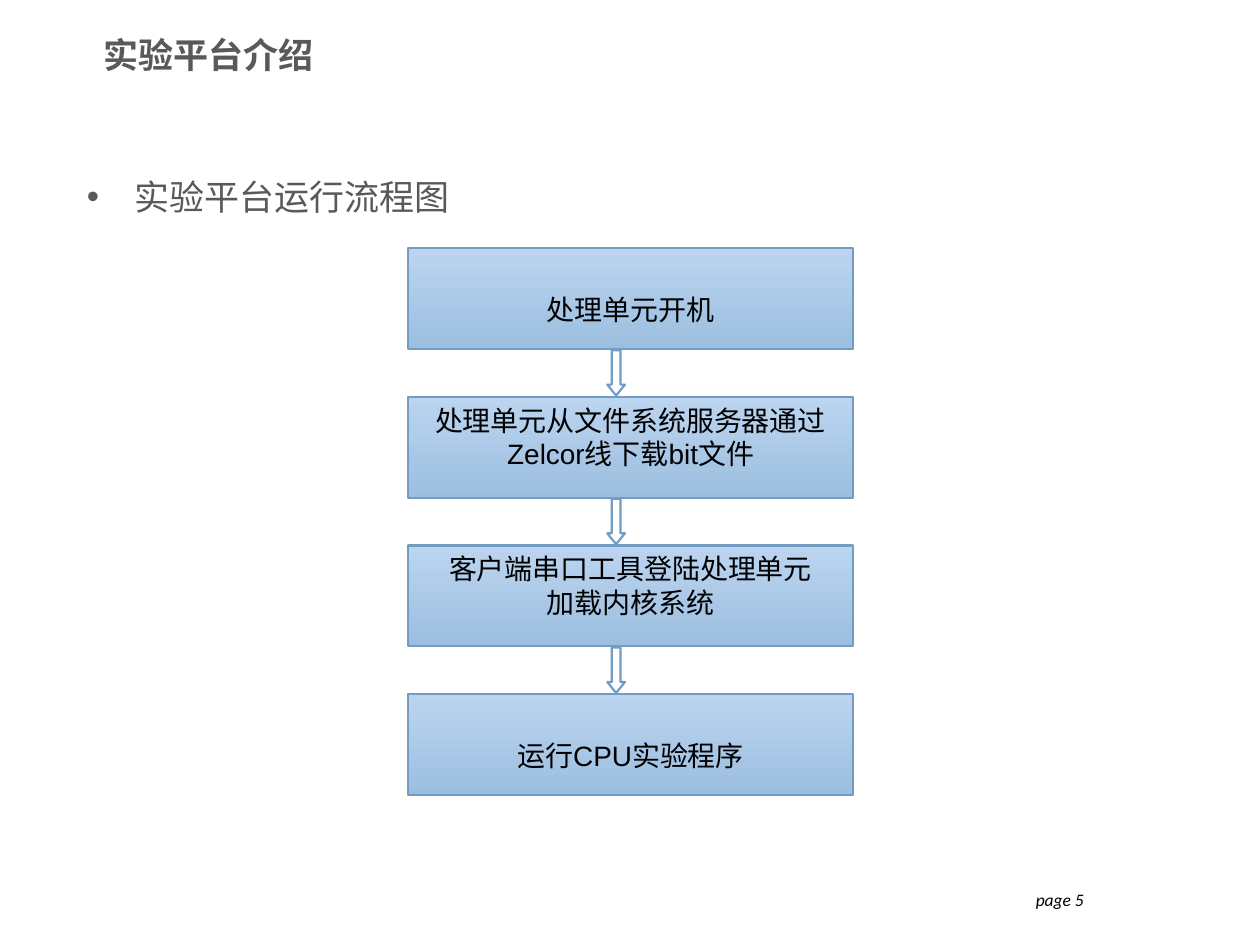
import pptx
import pptx.dml.color
import pptx.enum.shapes
import pptx.enum.text
import pptx.util
from pptx.oxml.ns import qn

COLORS = {
    "heading": "595959",
    "text": "000000",
    "box_top": "BBD5F0",
    "box_bottom": "9CBEE0",
    "outline": "739CC3",
    "arrow": "FFFFFF",
}
CJK_FONT = "Noto Sans CJK SC"

# Flow column, in inches
BOX_LEFT, BOX_WIDTH, BOX_HEIGHT = 3.24, 3.53, 0.8
FLOW_TOP, PITCH = 1.97, 1.18
ARROW_LEFT, ARROW_WIDTH, ARROW_HEIGHT = 4.82, 0.14, 0.36

STEPS = [
    ["处理单元开机"],
    ["处理单元从文件系统服务器通过", "Zelcor线下载bit文件"],
    ["客户端串口工具登陆处理单元", "加载内核系统"],
    ["运行CPU实验程序"],
]

ALIGN = pptx.enum.text.PP_ALIGN
ANCHOR = pptx.enum.text.MSO_ANCHOR
SHAPE = pptx.enum.shapes.MSO_SHAPE


def rgb(name):
    return pptx.dml.color.RGBColor.from_string(COLORS[name])


def inches(*values):
    return [pptx.util.Inches(v) for v in values]


def place(s, *box):
    s.left, s.top, s.width, s.height = inches(*box)


def write(s, lines, size=16, font="Arial", color="text", bold=False,
          italic=False, align=ALIGN.LEFT, anchor=ANCHOR.TOP, top=0.05):
    """Fill a shape with one formatted paragraph per line."""
    tf = s.text_frame
    tf.word_wrap = True
    tf.auto_size = pptx.enum.text.MSO_AUTO_SIZE.NONE
    tf.vertical_anchor = anchor
    tf.margin_top = pptx.util.Inches(top)
    tf.text = "\n".join(lines)
    for p in tf.paragraphs:
        p.alignment = align
        for r in p.runs:
            r.font.size = pptx.util.Pt(size)
            r.font.name = font
            r.font.bold = bold
            r.font.italic = italic
            r.font.color.rgb = rgb(color)
            ea = r.font._element.makeelement(qn("a:ea"), {"typeface": CJK_FONT})
            r.font._element.find(qn("a:latin")).addnext(ea)


def add_outlined(slide, kind, *box):
    s = slide.shapes.add_shape(kind, *inches(*box))
    s.shadow.inherit = False
    s.line.color.rgb = rgb("outline")
    s.line.width = pptx.util.Pt(1.25)
    return s


def add_step(slide, top, lines):
    s = add_outlined(slide, SHAPE.FLOWCHART_PROCESS,
                     BOX_LEFT, top, BOX_WIDTH, BOX_HEIGHT)
    s.fill.gradient()
    s.fill.gradient_angle = 270
    for stop, name in zip(s.fill.gradient_stops, ("box_top", "box_bottom")):
        stop.color.rgb = rgb(name)
    write(s, lines, align=ALIGN.CENTER, top=0.35 if len(lines) == 1 else 0.05)


def add_arrow(slide, top):
    s = add_outlined(slide, SHAPE.DOWN_ARROW,
                     ARROW_LEFT, top, ARROW_WIDTH, ARROW_HEIGHT)
    s.adjustments[0], s.adjustments[1] = 0.5, 0.62
    s.fill.solid()
    s.fill.fore_color.rgb = rgb("arrow")


def add_flow(slide):
    for i, lines in enumerate(STEPS):
        top = FLOW_TOP + i * PITCH
        add_step(slide, top, lines)
        if i < len(STEPS) - 1:
            add_arrow(slide, top + BOX_HEIGHT + 0.01)


def add_headings(slide):
    title, body = slide.shapes.title, slide.placeholders[1]
    place(title, 0.72, 0.2, 6.22, 0.47)
    write(title, ["实验平台介绍"], size=20, font=CJK_FONT, color="heading",
          bold=True, anchor=ANCHOR.MIDDLE)
    place(body, 0.59, 1.34, 8.66, 5.01)
    write(body, ["实验平台运行流程图"], size=20, font=CJK_FONT, color="heading")


def add_page_number(slide):
    s = slide.shapes.add_textbox(*inches(6.37, 7.01, 2.33, 0.4))
    write(s, ["page 5"], size=10, font="Calibri", italic=True, align=ALIGN.RIGHT)


def main():
    prs = pptx.Presentation()
    prs.slide_width, prs.slide_height = inches(10, 7.5)
    slide = prs.slides.add_slide(prs.slide_layouts[1])
    add_headings(slide)
    add_flow(slide)
    add_page_number(slide)
    prs.save("out.pptx")


if __name__ == "__main__":
    main()
